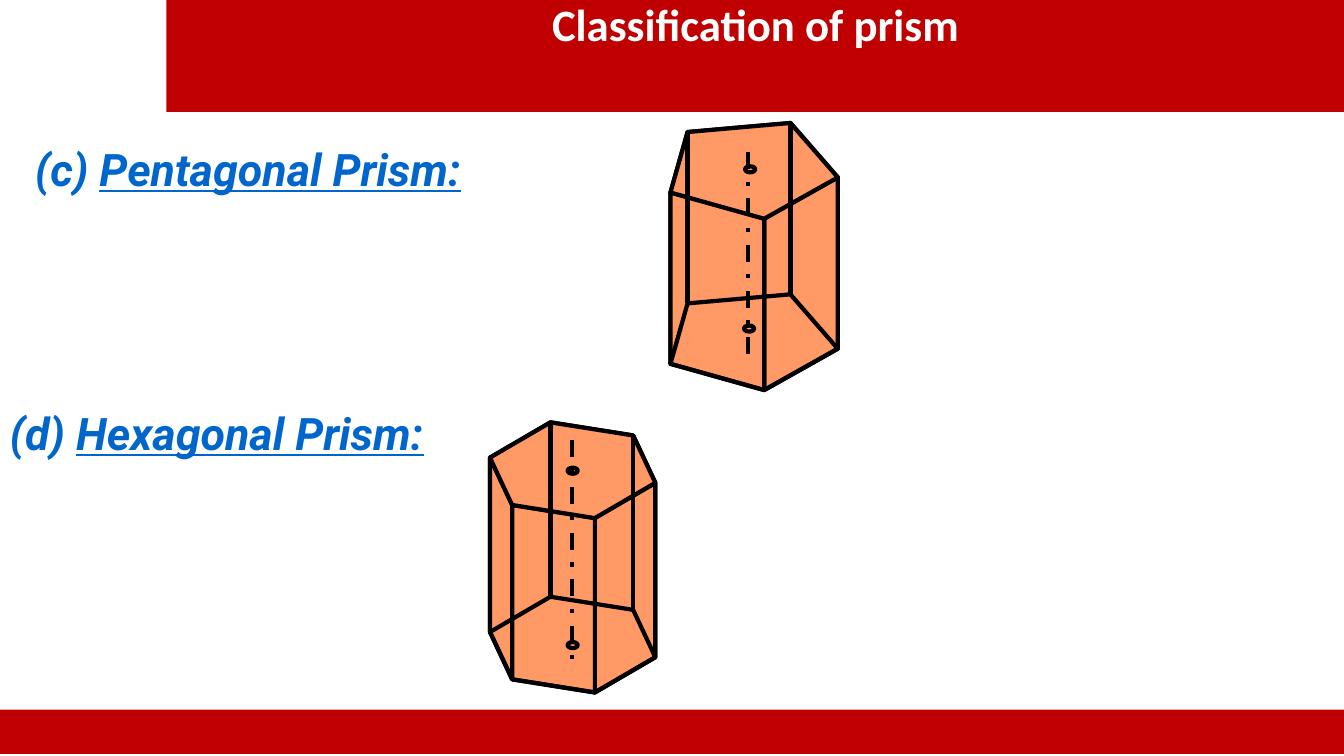
from dataclasses import dataclass
from lxml.etree import SubElement
from pptx import Presentation
from pptx.dml.color import RGBColor
from pptx.enum.dml import MSO_LINE
from pptx.enum.shapes import MSO_CONNECTOR, MSO_SHAPE
from pptx.enum.text import MSO_ANCHOR, MSO_AUTO_SIZE, PP_ALIGN
from pptx.oxml.ns import qn
from pptx.util import Pt

PX = 9144  # one hundredth of an inch


@dataclass(frozen=True)
class Theme:
    red: RGBColor = RGBColor(0xC0, 0x00, 0x00)
    blue: RGBColor = RGBColor(0x00, 0x66, 0xCC)
    peach: RGBColor = RGBColor(0xFF, 0x99, 0x66)
    white: RGBColor = RGBColor(0xFF, 0xFF, 0xFF)
    black: RGBColor = RGBColor(0x00, 0x00, 0x00)
    head: str = "Calibri"
    body: str = "Roboto"
    size: Pt = Pt(32)
    edge: Pt = Pt(3)


THEME = Theme()


def scale(*nums):
    return [num * PX for num in nums]


def paint(shape, color):
    shape.fill.solid()
    shape.fill.fore_color.rgb = color


def ink(shape):
    shape.line.color.rgb = THEME.black
    shape.line.width = THEME.edge


def header(slide, box):
    title = slide.shapes.title
    title.left, title.top, title.width, title.height = scale(*box)
    paint(title, THEME.red)
    frame = title.text_frame
    frame.text = "Classification of prism"
    frame.auto_size = MSO_AUTO_SIZE.NONE
    frame.vertical_anchor = MSO_ANCHOR.TOP
    para = frame.paragraphs[0]
    para.alignment = PP_ALIGN.CENTER
    para.line_spacing = 0.9
    font = para.font
    font.name, font.size, font.bold = THEME.head, THEME.size, True
    font.color.rgb = THEME.white


def footer(slide, box):
    band = slide.shapes.add_shape(MSO_SHAPE.RECTANGLE, *scale(*box))
    band.shadow.inherit = False
    paint(band, THEME.red)
    band.line.fill.background()


def label(slide, box, mark, name):
    frame = slide.shapes.add_textbox(*scale(*box)).text_frame
    frame.word_wrap = True
    frame.auto_size = MSO_AUTO_SIZE.SHAPE_TO_FIT_TEXT
    para = frame.paragraphs[0]
    para.alignment = PP_ALIGN.JUSTIFY
    props = para._p.get_or_add_pPr()
    props.set("marL", str(38 * PX))
    props.set("indent", str(-38 * PX))
    para.add_run().text = mark + " "
    run = para.add_run()
    run.text = name
    run.font.underline = True
    font = para.font
    font.name, font.size, font.bold, font.italic = THEME.body, THEME.size, True, True
    font.color.rgb = THEME.blue


def face(slide, points, color=None):
    build = slide.shapes.build_freeform(*points[0], scale=PX)
    build.add_line_segments(points[1:], close=True)
    shape = build.convert_to_shape()
    shape.shadow.inherit = False
    if color is None:
        shape.fill.background()
    else:
        paint(shape, color)
    ink(shape)


def edge(slide, start, end, dash=None):
    line = slide.shapes.add_connector(
        MSO_CONNECTOR.STRAIGHT, *scale(*start, *end))
    ink(line)
    if dash is not None:
        line.line.dash_style = dash
    SubElement(line._element.spPr, qn("a:effectLst"))


def dot(slide, x, y):
    """Ring around a point of the axis."""
    ring = slide.shapes.add_shape(MSO_SHAPE.OVAL, *scale(x - 5, y - 3, 10, 6))
    ring.shadow.inherit = False
    ring.fill.background()
    ink(ring)


def prism(slide, box, ring, drop, axis, dots):
    """Draw a prism whose ring, axis (x, top, end) and dots sit in box."""
    left, top = box
    upper = [(left + x, top + y) for x, y in ring]
    lower = [(x, y + drop) for x, y in upper]
    sides = list(zip(upper, upper[1:] + upper[:1], lower[1:] + lower[:1], lower))
    for side in sorted(sides, key=lambda quad: quad[0][1] + quad[1][1]):
        face(slide, side, THEME.peach)
    face(slide, upper, THEME.peach)
    face(slide, lower)
    for x, y in sorted(upper, key=lambda point: point[1])[:2]:
        edge(slide, (x, y), (x, y + drop))
    x, start, end = axis
    edge(slide, (left + x, top + start), (left + x, top + end), MSO_LINE.DASH_DOT)
    for x, y in dots:
        dot(slide, left + x, top + y)


def main():
    deck = Presentation()
    deck.slide_width, deck.slide_height = scale(1333, 750)
    slide = deck.slides.add_slide(deck.slide_layouts[5])
    header(slide, (165, -2, 1169, 113))
    footer(slide, (0, 704, 1333, 44))
    label(slide, (25, 136, 533, 63), "(c)", "Pentagonal Prism:")
    label(slide, (0, 398, 533, 63), "(d)", "Hexagonal Prism:")
    prism(slide, (665, 122),
          [(93, 95), (166, 54), (119, 0), (17, 9), (0, 69)],
          170, (77, 29, 229), [(79, 46), (78, 204)])
    prism(slide, (486, 419),
          [(104, 95), (164, 60), (142, 13), (60, 0), (0, 35), (22, 82)],
          173, (81, 18, 243), [(82, 48), (82, 221)])
    deck.save("out.pptx")


if __name__ == "__main__":
    main()
